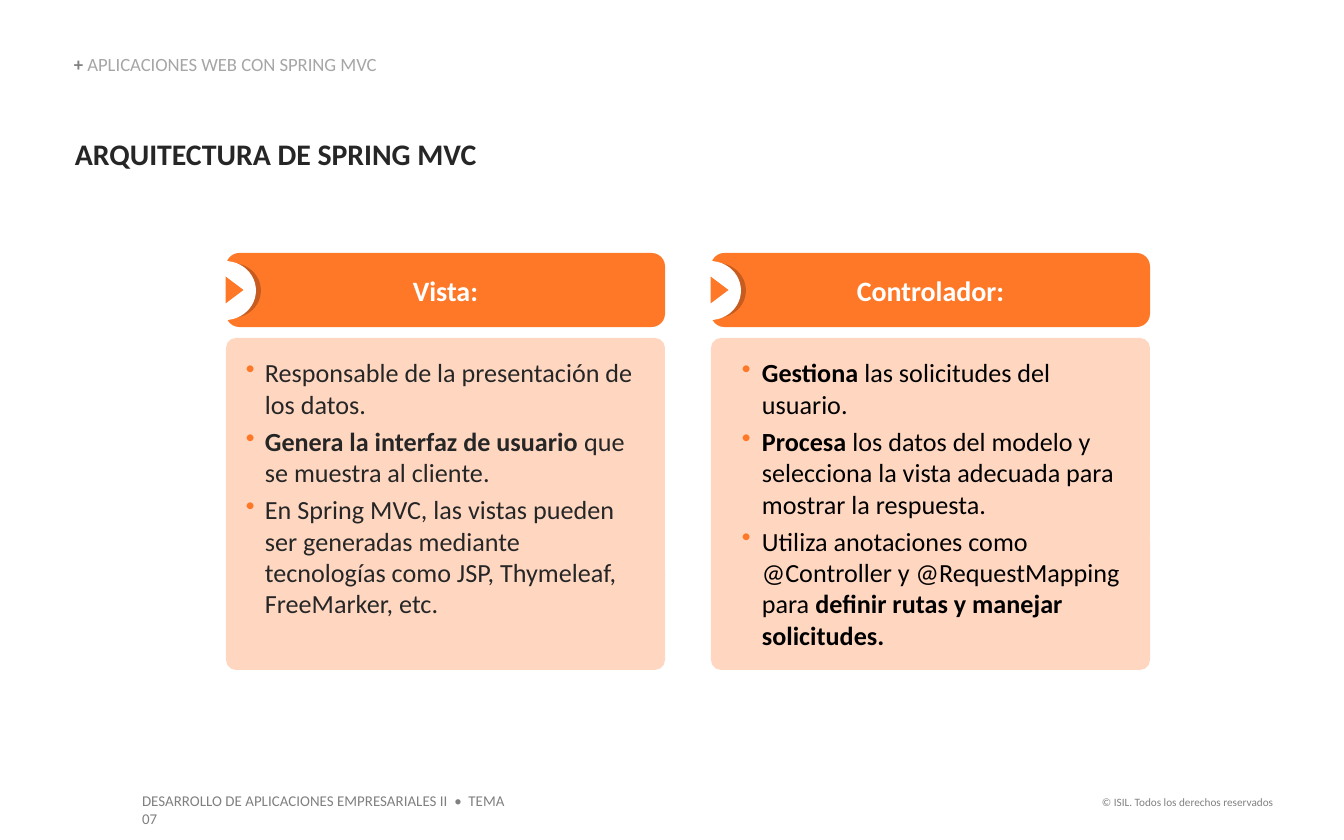
import pptx
import pptx.util
import pptx.dml.color
import pptx.enum.shapes
import pptx.enum.text
import lxml.etree
import pptx.oxml.ns

PX = 914400 / 134.4
COLORS = {
    "orange": "FE7828", "peach": "FFD7C1", "rust": "C65C1F", "white": "FFFFFF",
    "black": "000000", "ink": "262626", "gray": "808080", "pale": "A6A6A6",
}
KIND = pptx.enum.shapes.MSO_SHAPE
ALIGN = pptx.enum.text.PP_ALIGN
ANCHOR = pptx.enum.text.MSO_ANCHOR
rgb = pptx.dml.color.RGBColor.from_string
qn = pptx.oxml.ns.qn

deck = pptx.Presentation()
deck.slide_width = round(1344 * PX)
deck.slide_height = round(840 * PX)
slide = deck.slides.add_slide(deck.slide_layouts[6])


def draw(kind, box, color, adj=None):
    shape = slide.shapes.add_shape(kind, *[round(n * PX) for n in box])
    shape.shadow.inherit = False
    shape.fill.solid()
    shape.fill.fore_color.rgb = rgb(COLORS[color])
    shape.line.fill.background()
    if adj is not None:
        shape.adjustments[0] = adj
    return shape


def write(paras, size, color, box=None, shape=None, bold=False, strong=None,
          align=ALIGN.LEFT, anchor=ANCHOR.TOP, pad=(0, 0, 0, 0), indent=None, after=0):
    if shape is None:
        shape = slide.shapes.add_textbox(*[round(n * PX) for n in box])
    frame = shape.text_frame
    frame.word_wrap = True
    frame.vertical_anchor = anchor
    frame.margin_left, frame.margin_top, frame.margin_right, frame.margin_bottom = [
        round(n * PX) for n in pad]
    for i, text in enumerate(paras):
        para = frame.add_paragraph() if i else frame.paragraphs[0]
        para.alignment = align
        if indent:
            para.level = 1
            props = para._p.get_or_add_pPr()
            props.set("marL", str(round(indent[0] * PX)))
            props.set("indent", str(round(indent[1] * PX)))
            tint = lxml.etree.SubElement(props, qn("a:buClr"))
            lxml.etree.SubElement(tint, qn("a:srgbClr"), val=COLORS["orange"])
            lxml.etree.SubElement(props, qn("a:buChar"), char="•")
            para.space_after = pptx.util.Pt(after)
        for j, part in enumerate(text.split("|")):
            if part:
                run = para.add_run()
                run.text = part
                run.font.name = "Calibri"
                run.font.size = pptx.util.Pt(size)
                run.font.bold = bold or j % 2 == 1
                run.font.color.rgb = rgb(COLORS[strong if strong and j % 2 else color])


write(["© ISIL. Todos los derechos reservados"], 6, "gray", box=(1085, 789, 201, 27),
      align=ALIGN.RIGHT, pad=(0, 7, 13, 7))
write(["DESARROLLO DE APLICACIONES EMPRESARIALES II  •  TEMA 07"], 8, "gray",
      box=(129, 785, 406, 32), pad=(13, 7, 13, 7))
write(["ARQUITECTURA DE SPRING MVC"], 16, "ink", box=(75, 136, 1097, 73), bold=True)
write(["|+ |APLICACIONES WEB CON SPRING MVC"], 10, "pale", box=(74, 55, 358, 20),
      strong="gray", anchor=ANCHOR.BOTTOM)

cards = [
    ("Vista:", "ink", (20, -19), [
        "Responsable de la presentación de los datos.",
        "|Genera la interfaz de usuario |que se muestra al cliente.",
        "En Spring MVC, las vistas pueden ser generadas mediante tecnologías como JSP, "
        "Thymeleaf, FreeMarker, etc.",
    ]),
    ("Controlador:", "black", (32, -20), [
        "|Gestiona| las solicitudes del usuario.",
        "|Procesa| los datos del modelo y selecciona la vista adecuada para mostrar la respuesta.",
        "Utiliza anotaciones como @Controller y @RequestMapping para "
        "|definir rutas y manejar solicitudes.|",
    ]),
]
for i, (title, color, indent, items) in enumerate(cards):
    left = 226 + 485 * i
    head = draw(KIND.ROUNDED_RECTANGLE, (left, 253, 439, 74), "orange", 0.18)
    write([title], 15, "white", shape=head, bold=True, align=ALIGN.CENTER,
          anchor=ANCHOR.MIDDLE, pad=(13, 7, 13, 7))
    body = draw(KIND.ROUNDED_RECTANGLE, (left, 338, 439, 332), "peach", 0.03)
    write(items, 14, color, shape=body, pad=(16, 16, 16, 7), indent=indent, after=3)
    draw(KIND.OVAL, (left - 23, 263, 58, 55), "rust")
    draw(KIND.OVAL, (left - 32, 261, 62, 59), "white")
    mark = draw(KIND.ISOSCELES_TRIANGLE, (left - 5, 281, 27, 18), "orange")
    mark.rotation = 90

deck.save("out.pptx")
